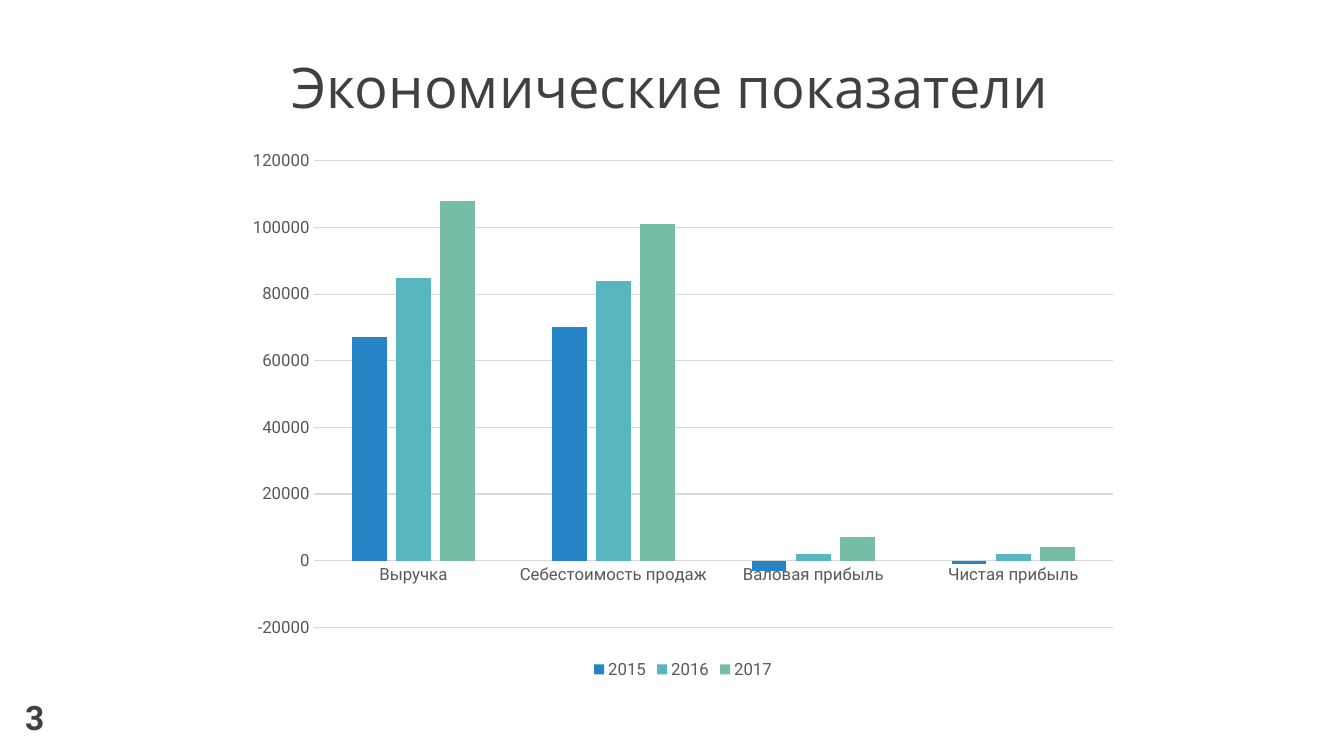
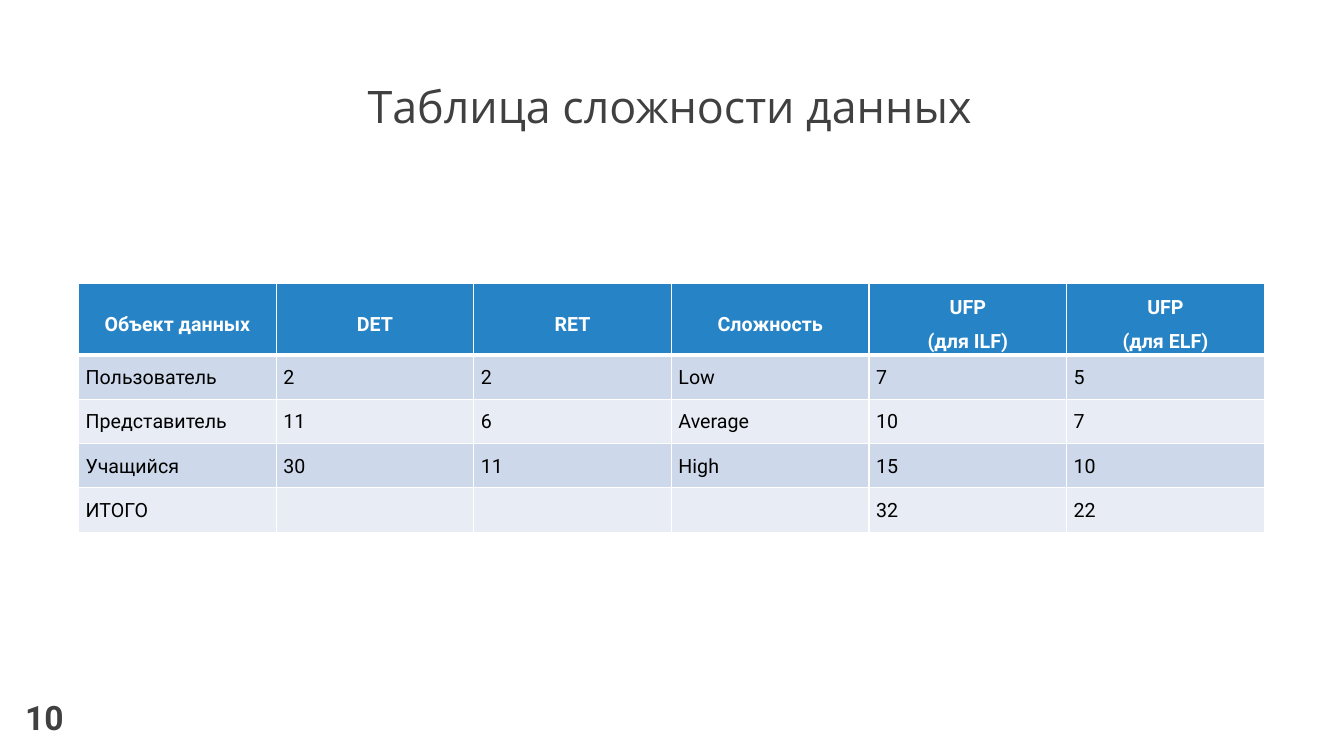
import lxml.etree
import pptx
import pptx.chart.data
import pptx.dml.color
import pptx.enum.chart
import pptx.enum.text
import pptx.oxml.ns
import pptx.util

Inches = pptx.util.Inches
Pt = pptx.util.Pt

COLORS = {
    "ink": "404040",
    "axis": "595959",
    "grid": "D9D9D9",
    "blue": "2683C6",
    "teal": "58B6C0",
    "green": "75BDA7",
    "band_dark": "CDD9EA",
    "band_light": "E8EDF5",
    "white": "FFFFFF",
    "black": "000000",
}
TITLE_FONT = "Open Sans"
BODY_FONT = "Roboto"

INDICATORS = ["Выручка", "Себестоимость продаж", "Валовая прибыль", "Чистая прибыль"]
YEARS = [
    ("2015", (67000, 70000, -3000, -1000), "blue"),
    ("2016", (85000, 84000, 2000, 2000), "teal"),
    ("2017", (108000, 101000, 7000, 4000), "green"),
]
COMPLEXITY = [
    ["Объект данных", "DET", "RET", "Сложность", "UFP\n(для ILF)", "UFP\n(для ELF)"],
    ["Пользователь", "2", "2", "Low", "7", "5"],
    ["Представитель", "11", "6", "Average", "10", "7"],
    ["Учащийся", "30", "11", "High", "15", "10"],
    ["ИТОГО", "", "", "", "32", "22"],
]


def rgb(name):
    """Return the palette colour of that name."""
    return pptx.dml.color.RGBColor.from_string(COLORS[name])


def style_font(font, face, size, color, bold=False):
    """Set face, size, colour and weight of a font."""
    font.name = face
    font.size = Pt(size)
    font.bold = bold
    font.color.rgb = rgb(color)


def style_paragraphs(frame, align, spacing, *font_style):
    """Align the paragraphs of a frame and style their runs."""
    for paragraph in frame.paragraphs:
        paragraph.alignment = align
        paragraph.line_spacing = spacing
        for run in paragraph.runs:
            style_font(run.font, *font_style)


def add_titled_slide(deck, heading, heading_size, heading_height, number, number_width):
    """Add a slide with its title and page number."""
    slide = deck.slides.add_slide(deck.slide_layouts[5])
    title = slide.shapes.title
    title.left, title.top = Inches(0.87), Inches(0.13)
    title.width, title.height = Inches(11.55), Inches(heading_height)
    title.text_frame.text = heading
    title.text_frame.word_wrap = True
    title.text_frame.vertical_anchor = pptx.enum.text.MSO_ANCHOR.BOTTOM
    style_paragraphs(title.text_frame, pptx.enum.text.PP_ALIGN.CENTER, 0.9,
                     TITLE_FONT, heading_size, "ink")

    page = slide.shapes.add_textbox(Inches(0.15), Inches(6.86),
                                    Inches(number_width), Inches(0.5))
    page.text_frame.text = number
    style_paragraphs(page.text_frame, pptx.enum.text.PP_ALIGN.LEFT, 1.0,
                     BODY_FONT, 24, "ink", True)
    return slide


def add_indicator_chart(slide, left, top, width, height):
    """Place the column chart of indicators by year in the given box."""
    figures = pptx.chart.data.CategoryChartData()
    figures.categories = INDICATORS
    for year, amounts, _ in YEARS:
        figures.add_series(year, amounts)
    chart = slide.shapes.add_chart(
        pptx.enum.chart.XL_CHART_TYPE.COLUMN_CLUSTERED,
        Inches(left), Inches(top), Inches(width), Inches(height), figures).chart
    chart.has_title = False
    style_font(chart.font, BODY_FONT, 12, "axis")

    chart.has_legend = True
    chart.legend.position = pptx.enum.chart.XL_LEGEND_POSITION.BOTTOM
    chart.legend.include_in_layout = False
    style_font(chart.legend.font, BODY_FONT, 12, "axis")

    for axis in (chart.category_axis, chart.value_axis):
        axis.major_tick_mark = pptx.enum.chart.XL_TICK_MARK.NONE
        axis.minor_tick_mark = pptx.enum.chart.XL_TICK_MARK.NONE
        style_font(axis.tick_labels.font, BODY_FONT, 12, "axis")
    amount_axis = chart.value_axis
    amount_axis.minimum_scale = -20000
    amount_axis.maximum_scale = 120000
    amount_axis.major_unit = 20000
    amount_axis.has_major_gridlines = True
    amount_axis.format.line.fill.background()
    for line in (chart.category_axis.format.line, amount_axis.major_gridlines.format.line):
        line.color.rgb = rgb("grid")
        line.width = Pt(0.75)

    plot = chart.plots[0]
    plot.gap_width = 219
    plot.overlap = -27
    plot.vary_by_categories = False
    for columns, (_, _, color) in zip(plot.series, YEARS):
        columns.invert_if_negative = False
        columns.format.fill.solid()
        columns.format.fill.fore_color.rgb = rgb(color)


def set_borders(cell, top, bottom):
    """Draw white cell borders with the given top and bottom widths."""
    properties = cell._tc.get_or_add_tcPr()
    for side, points in (("L", 1), ("R", 1), ("T", top), ("B", bottom)):
        border = lxml.etree.SubElement(properties, pptx.oxml.ns.qn("a:ln" + side),
                                       w=str(Pt(points)))
        fill = lxml.etree.SubElement(border, pptx.oxml.ns.qn("a:solidFill"))
        lxml.etree.SubElement(fill, pptx.oxml.ns.qn("a:srgbClr"), val=COLORS["white"])


def fill_cell(cell, text, row):
    """Write and format one table cell according to its row."""
    header = row == 0
    set_borders(cell, 3 if row == 1 else 1, 3 if header else 1)
    cell.fill.solid()
    cell.fill.fore_color.rgb = rgb(
        "blue" if header else "band_dark" if row % 2 else "band_light")
    cell.margin_left = cell.margin_right = Inches(0.07)
    cell.margin_top = cell.margin_bottom = 0
    if not text:
        return
    cell.text_frame.text = text
    if header:
        cell.vertical_anchor = pptx.enum.text.MSO_ANCHOR.MIDDLE
        style_paragraphs(cell.text_frame, pptx.enum.text.PP_ALIGN.CENTER, 1.5,
                         BODY_FONT, 14, "white", True)
    else:
        style_paragraphs(cell.text_frame, pptx.enum.text.PP_ALIGN.JUSTIFY, 1.5,
                         BODY_FONT, 14, "black")


def add_complexity_table(slide, left, top, width, height):
    """Place the data complexity table in the given box."""
    header_height = 0.71
    row_height = (height - header_height) / (len(COMPLEXITY) - 1)
    table = slide.shapes.add_table(
        len(COMPLEXITY), len(COMPLEXITY[0]),
        Inches(left), Inches(top), Inches(width), Inches(height)).table
    for column in table.columns:
        column.width = Inches(width / len(COMPLEXITY[0]))
    for row, entries in enumerate(COMPLEXITY):
        table.rows[row].height = Inches(row_height if row else header_height)
        for column, text in enumerate(entries):
            fill_cell(table.cell(row, column), text, row)


def main():
    """Build and save the presentation."""
    deck = pptx.Presentation()
    deck.slide_width, deck.slide_height = Inches(13.33), Inches(7.5)

    economics = add_titled_slide(deck, "Экономические показатели", 40, 1.12, "3", 0.37)
    add_indicator_chart(economics, 2.33, 1.39, 8.89, 5.39)

    complexity = add_titled_slide(deck, "Таблица сложности данных", 32, 1.24, "10", 0.63)
    add_complexity_table(complexity, 0.78, 2.81, 11.76, 2.47)

    deck.save("out.pptx")


if __name__ == "__main__":
    main()
